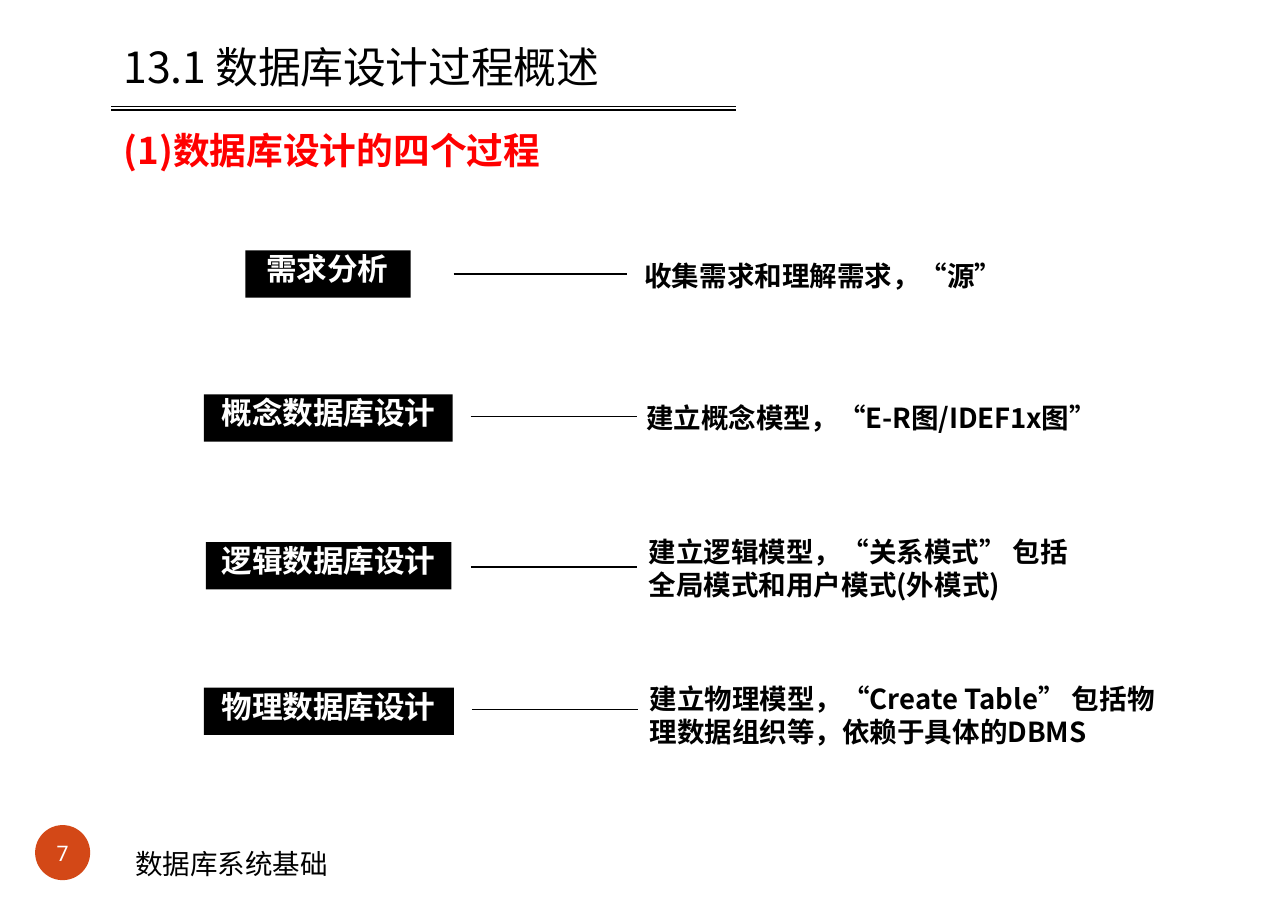
from dataclasses import dataclass

from lxml import etree
from pptx import Presentation
from pptx.dml.color import RGBColor
from pptx.enum import shapes, text
from pptx.oxml.ns import qn
from pptx.util import Cm, Pt

BLACK = RGBColor(0x00, 0x00, 0x00)
WHITE = RGBColor(0xFF, 0xFF, 0xFF)
RED = RGBColor(0xFF, 0x00, 0x00)
ORANGE = RGBColor(0xD3, 0x48, 0x17)
SC, TC = "Noto Sans CJK SC", "Noto Sans CJK TC"


@dataclass
class Stage:
    """One design stage: black label, line and description, in cm."""
    label: str
    left: float
    top: float
    width: float
    indent: float
    line_left: float
    line_top: float
    line_width: float
    note: str
    note_left: float
    note_top: float
    note_width: float
    note_spc: int = 0


STAGES = [
    Stage("需求分析", 5.66, 5.77, 3.81, 0.48, 10.46, 6.32, 3.99,
          "收集需求和理解需求，“源”", 14.83, 5.97, 8.6),
    Stage("概念数据库设计", 4.7, 9.09, 5.74, 0.41, 10.85, 9.6, 3.84,
          "建立概念模型，“E-R图/IDEF1x图”", 14.88, 9.25, 10.64, -10),
    Stage("逻辑数据库设计", 4.75, 12.5, 5.66, 0.36, 10.86, 13.07, 3.84,
          "建立逻辑模型，“关系模式” 包括全局模式和用户模式(外模式)",
          14.93, 12.34, 10.1),
    Stage("物理数据库设计", 4.7, 15.85, 5.77, 0.41, 10.88, 16.36, 3.84,
          "建立物理模型，“Create Table” 包括物理数据组织等，依赖于具体的DBMS",
          14.95, 15.71, 12.2),
]


def write(p, words: str, size: float, color: RGBColor, name: str = SC,
          bold: bool = False, spc: int = 0, indent: float = 0) -> None:
    """Put one formatted run into a paragraph."""
    p._p.get_or_add_pPr().set("marL", str(Cm(indent)))
    p._p.get_or_add_pPr().set("indent", "0")
    r = p.add_run()
    r.text = words
    for key, value in {"size": Pt(size), "bold": bold, "name": name}.items():
        setattr(r.font, key, value)
    r.font.color.rgb = color
    rpr = r._r.get_or_add_rPr()
    rpr.set("spc", str(spc))
    east_asian = name if name in (SC, TC) else SC
    etree.SubElement(rpr, qn("a:ea")).set("typeface", east_asian)


def set_frame(tf, inset: float = 0, wrap: bool = True,
              anchor=text.MSO_ANCHOR.TOP) -> None:
    values = {"word_wrap": wrap, "vertical_anchor": anchor}
    for side in ("left", "top", "right", "bottom"):
        values[f"margin_{side}"] = Cm(inset)
    for key, value in values.items():
        setattr(tf, key, value)


def add_filled(s, kind, left: float, top: float, width: float, height: float,
               color: RGBColor):
    sp = s.shapes.add_shape(kind, Cm(left), Cm(top), Cm(width), Cm(height))
    sp.shadow.inherit = False
    sp.fill.solid()
    sp.fill.fore_color.rgb = color
    sp.line.fill.background()
    return sp


def add_line(s, left: float, top: float, width: float) -> None:
    line = s.shapes.add_connector(shapes.MSO_CONNECTOR.STRAIGHT, Cm(left),
                                  Cm(top), Cm(left + width), Cm(top))
    line.line.color.rgb = BLACK
    line.line.width = Pt(1)
    etree.SubElement(line._element.spPr, qn("a:effectLst"))


def add_stage(s, stage: Stage) -> None:
    sp = add_filled(s, shapes.MSO_SHAPE.RECTANGLE, stage.left, stage.top,
                    stage.width, 1.09, BLACK)
    set_frame(sp.text_frame)
    p = sp.text_frame.paragraphs[0]
    p.alignment = text.PP_ALIGN.LEFT
    write(p, stage.label, 20, WHITE, bold=True, spc=-10, indent=stage.indent)
    add_line(s, stage.line_left, stage.line_top, stage.line_width)
    note = s.shapes.add_textbox(Cm(stage.note_left), Cm(stage.note_top),
                                Cm(stage.note_width), Cm(1.6))
    set_frame(note.text_frame)
    write(note.text_frame.paragraphs[0], stage.note, 18, BLACK, bold=True,
          spc=stage.note_spc, indent=0.03)


def main() -> None:
    prs = Presentation()
    prs.slide_width, prs.slide_height = Cm(29.7), Cm(21)
    s = prs.slides.add_slide(prs.slide_layouts[5])

    # Title and subtitle
    title = s.shapes.title
    title.left, title.top, title.width, title.height = (
        Cm(2.82), Cm(0.94), Cm(24.05), Cm(3.05))
    tf = title.text_frame
    set_frame(tf)
    tf.auto_size = text.MSO_AUTO_SIZE.NONE
    p = tf.paragraphs[0]
    p.alignment = text.PP_ALIGN.LEFT
    write(p, "13.1 数据库设计过程概述", 28, BLACK, TC, spc=-10, indent=0.03)
    p = tf.add_paragraph()
    p.alignment = text.PP_ALIGN.LEFT
    p.space_before = Pt(23)
    write(p, "(1)数据库设计的四个过程", 24, RED, TC, bold=True, indent=0.03)

    # Double rule below the title
    for top in (2.46, 2.54):
        add_line(s, 2.57, top, 14.4)

    # Four design stages
    for stage in STAGES:
        add_stage(s, stage)

    # Page number and footer
    badge = add_filled(s, shapes.MSO_SHAPE.OVAL, 0.81, 19.02, 1.27, 1.27,
                       ORANGE)
    set_frame(badge.text_frame, wrap=False, anchor=text.MSO_ANCHOR.MIDDLE)
    p = badge.text_frame.paragraphs[0]
    p.alignment = text.PP_ALIGN.CENTER
    write(p, "7", 14, WHITE, "Roboto")
    footer = s.shapes.add_textbox(Cm(2.87), Cm(19.28), Cm(6.48), Cm(1.02))
    set_frame(footer.text_frame, inset=0.25)
    write(footer.text_frame.paragraphs[0], "数据库系统基础", 18, BLACK,
          "Calibri")

    prs.save("out.pptx")


if __name__ == "__main__":
    main()
